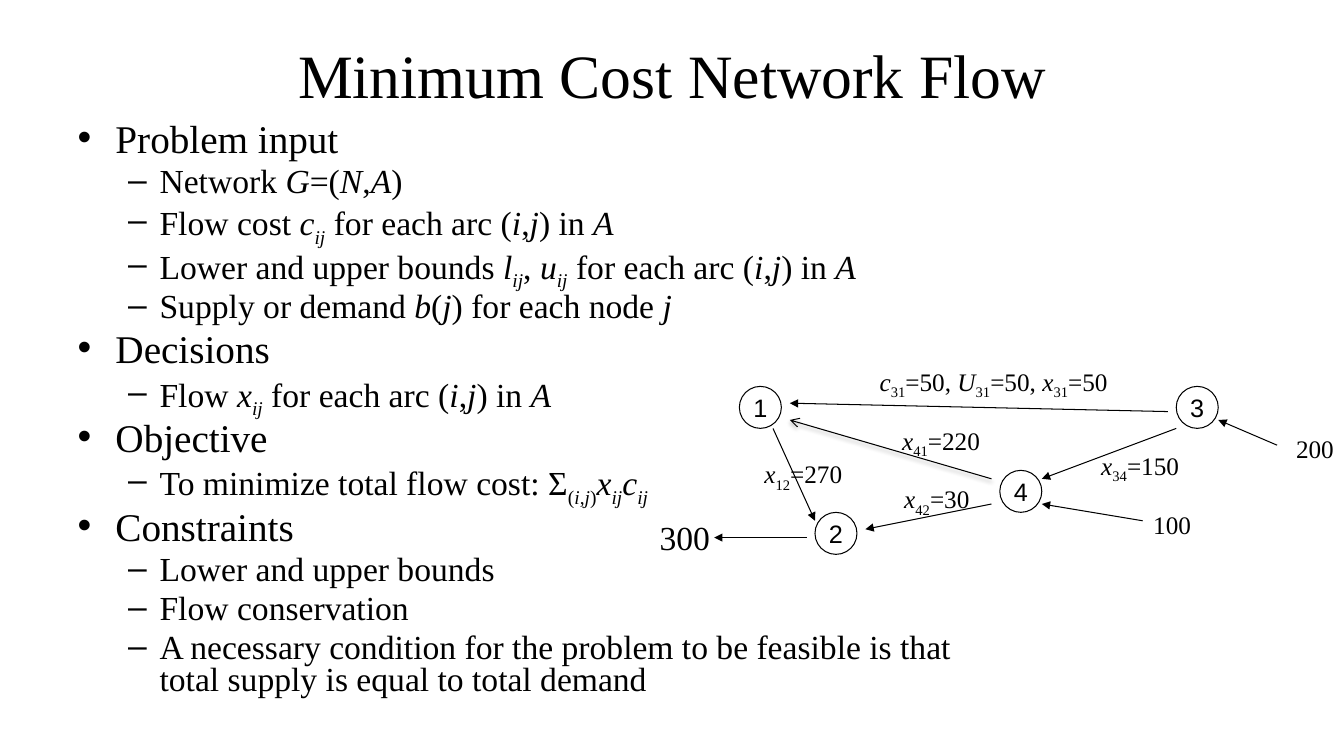
"""Build the slide on minimum cost network flow with its example network."""
from lxml.etree import SubElement
from pptx import Presentation
from pptx.dml.color import RGBColor
from pptx.enum.shapes import MSO_CONNECTOR as Connector, MSO_SHAPE as Shape
from pptx.enum.text import MSO_ANCHOR as Anchor, MSO_AUTO_SIZE as AutoSize, PP_ALIGN as Align
from pptx.oxml.ns import qn
from pptx.util import Inches, Pt

BLACK = RGBColor(0, 0, 0)
WHITE = RGBColor(255, 255, 255)
SERIF, SANS = "Times New Roman", "Arial"
GRID = Inches(1) / 12
NODE_SIZE = 5

# In all texts, *...* is italic and _..._ is subscript.
TITLE = "Minimum Cost Network Flow"
OUTLINE = [
    ("Problem input", [
        "Network *G*=(*N*,*A*)",
        "Flow cost *c*_*ij*_ for each arc (*i*,*j*) in *A*",
        "Lower and upper bounds *l*_*ij*_, *u*_*ij*_ for each arc (*i*,*j*) in *A*",
        "Supply or demand *b*(*j*) for each node *j*",
    ]),
    ("Decisions", ["Flow *x*_*ij*_ for each arc (*i*,*j*) in *A*"]),
    ("Objective", ["To minimize total flow cost: Σ_(*i*,*j*)_*x*_*ij*_*c*_*ij*_"]),
    ("Constraints", [
        "Lower and upper bounds",
        "Flow conservation",
        "A necessary condition for the problem to be feasible is that "
        "total supply is equal to total demand",
    ]),
]
NODES = {"1": (88, 46), "2": (97, 61), "4": (119, 56), "3": (140, 46)}
ARCS = [
    ((92, 51), (97, 62)),
    ((139, 49), (94, 48)),
    ((140, 51), (124, 57)),
    ((118, 60), (103, 63)),
    ((136, 62), (124, 60)),
    ((152, 53), (145, 50)),
    ((96, 64), (85, 64)),
]
SHADED_ARC = ((118, 57), (94, 50))
LABELS = [
    ("*x*_12_=270", 89.2, 54, 12.8, 18),
    ("*x*_42_=30", 106, 57, 11, 18),
    ("*x*_41_=220", 106, 50, 12, 18),
    ("*c*_31_=50, *U*_31_=50, *x*_31_=50", 102, 43, 32.5, 18),
    ("*x*_34_=150", 129, 53, 13.4, 18),
    ("100", 136, 60, 7, 18),
    ("200", 153, 51, 7, 18),
    ("300", 76, 61, 11, 24),
]


def cells(*counts):
    return [round(count * GRID) for count in counts]


def write(paragraph, text, size, font=SERIF):
    for part, section in enumerate(text.split("_")):
        for piece, words in enumerate(section.split("*")):
            if not words:
                continue
            run = paragraph.add_run()
            run.text = words
            run.font.name, run.font.size = font, Pt(size)
            run.font.color.rgb = BLACK
            run.font.italic = piece % 2 == 1
            if part % 2:
                run.font._element.set("baseline", "-25000")


def place(shape, left, top, width, height):
    shape.left, shape.top, shape.width, shape.height = map(Inches, (left, top, width, height))
    shape.text_frame.auto_size = AutoSize.NONE


def add_arc(shapes, start, end, head="triangle"):
    arc = shapes.add_connector(Connector.STRAIGHT, *cells(*start, *end))
    arc.line.color.rgb = BLACK
    arc.line.width = Pt(0.75)
    SubElement(arc.line._get_or_add_ln(), qn("a:tailEnd"), type=head)
    return SubElement(arc._element.spPr, qn("a:effectLst"))


def add_shadow(effects):
    shadow = SubElement(effects, qn("a:outerShdw"), blurRad=str(Pt(3.1)), dist=str(Pt(1.8)),
                        dir="5400000", rotWithShape="0")
    color = SubElement(shadow, qn("a:srgbClr"), val=str(BLACK))
    SubElement(color, qn("a:alpha"), val="35000")


def add_node(shapes, name, left, top):
    node = shapes.add_shape(Shape.OVAL, *cells(left, top, NODE_SIZE, NODE_SIZE))
    node.shadow.inherit = False
    node.fill.solid()
    node.fill.fore_color.rgb = WHITE
    node.line.color.rgb = BLACK
    node.line.width = Pt(0.75)
    frame = node.text_frame
    frame.margin_left = frame.margin_right = frame.margin_top = frame.margin_bottom = 0
    frame.vertical_anchor = Anchor.MIDDLE
    frame.paragraphs[0].alignment = Align.CENTER
    write(frame.paragraphs[0], name, 18, SANS)


def add_label(shapes, text, left, top, width, size):
    frame = shapes.add_textbox(*cells(left, top, width, size * 0.27)).text_frame
    frame.word_wrap = False
    frame.paragraphs[0].alignment = Align.CENTER
    write(frame.paragraphs[0], text, size)


presentation = Presentation()
presentation.slide_width, presentation.slide_height = Inches(13.33), Inches(7.5)
slide = presentation.slides.add_slide(presentation.slide_layouts[1])
title, body = slide.placeholders

place(title, 2.17, 0.3, 9, 0.87)
title.text_frame.vertical_anchor = Anchor.MIDDLE
write(title.text_frame.paragraphs[0], TITLE, 44)

place(body, 0.67, 1.17, 9, 6)
lines = [line for heading, points in OUTLINE
         for line in [(heading, 0, 28), *((point, 1, 24) for point in points)]]
for index, (text, level, size) in enumerate(lines):
    frame = body.text_frame
    paragraph = frame.add_paragraph() if index else frame.paragraphs[0]
    paragraph.level = level
    paragraph.line_spacing = 0.8
    write(paragraph, text, size)

for name, corner in NODES.items():
    add_node(slide.shapes, name, *corner)
for start, end in ARCS:
    add_arc(slide.shapes, start, end)
add_shadow(add_arc(slide.shapes, *SHADED_ARC, head="arrow"))
for label in LABELS:
    add_label(slide.shapes, *label)

presentation.save("out.pptx")
